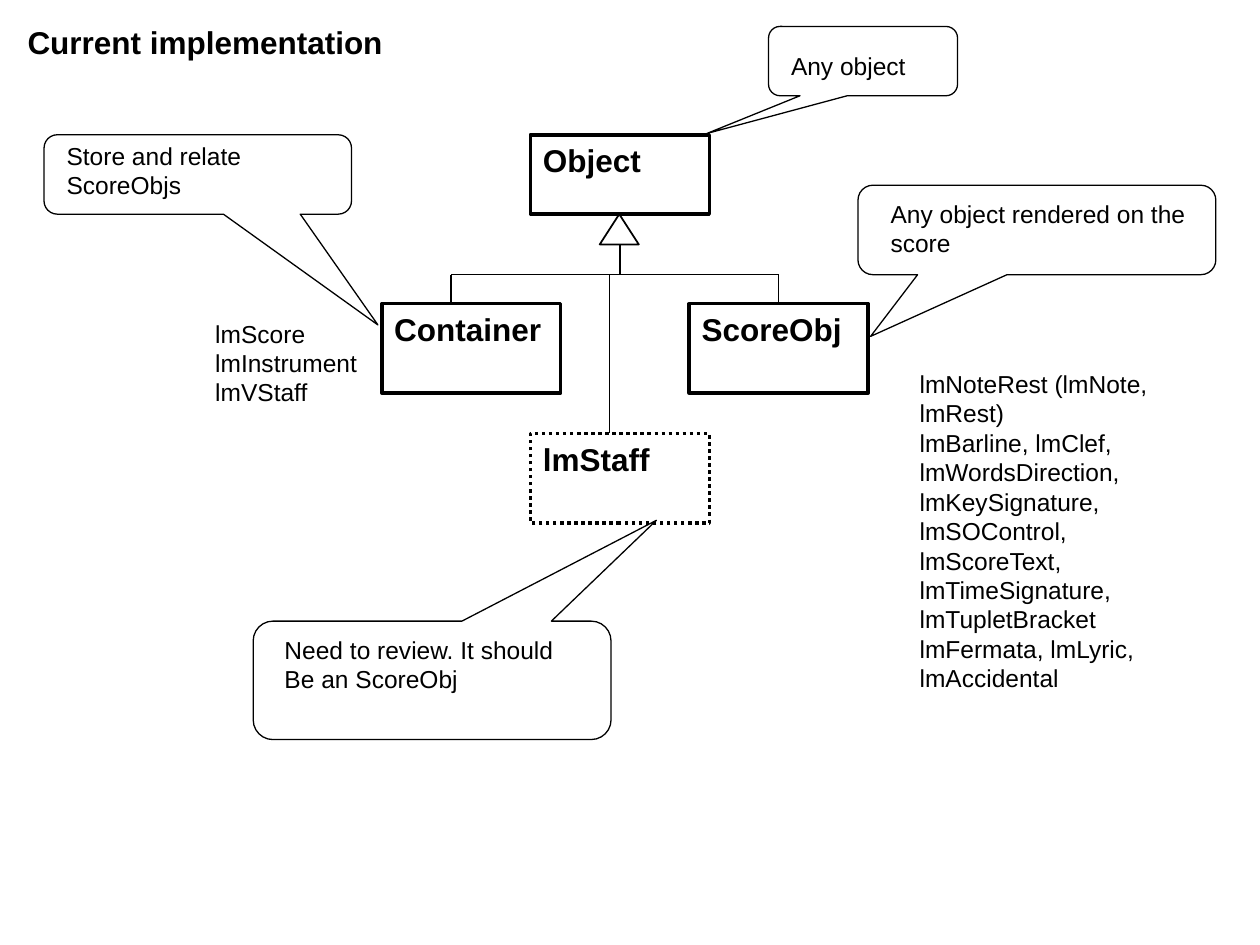
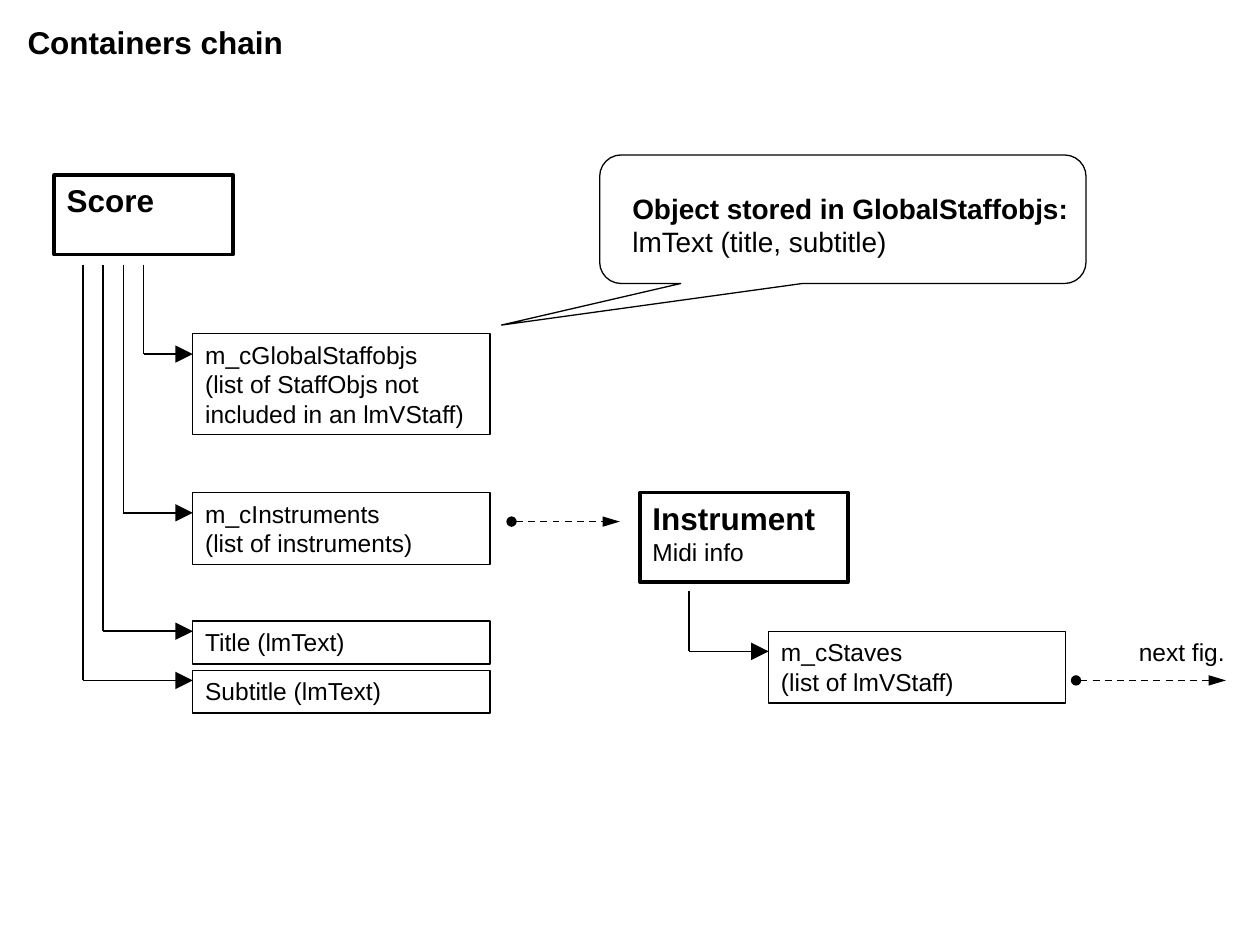
from lxml.etree import SubElement
from pptx import Presentation
from pptx.dml.color import RGBColor
from pptx.enum.dml import MSO_LINE
from pptx.enum.shapes import MSO_CONNECTOR, MSO_SHAPE
from pptx.enum.text import MSO_ANCHOR, PP_ALIGN
from pptx.oxml.ns import qn
from pptx.util import Inches, Pt

FONT = "Arial"
INK = "000000"
THIN, MEDIUM, THICK = 0.75, 1, 2
# Text styles: size in points, bold
HEADING = (18, True)
BODY = (14, False)
LEAD = (16, True)
DETAIL = (16, False)


def color(hex_string):
    return RGBColor.from_string(hex_string)


def inches(values):
    return [Inches(value) for value in values]


class Diagram:
    """Holds the shared style and draws on the current slide."""

    def __init__(self):
        self.deck = Presentation()
        self.deck.slide_width = Inches(10)
        self.deck.slide_height = Inches(7.5)
        self.page = None

    def add_page(self, title):
        self.page = self.deck.slides.add_slide(self.deck.slide_layouts[6])
        self.text((0.12, 0.13, 3.02, 0.4), title, style=HEADING)

    def fill_text(self, box, paragraphs, style, rest, wrap=True):
        """Sets the first paragraph in style and the others in rest."""
        frame = box.text_frame
        frame.text = "\n".join(paragraphs)
        frame.word_wrap = wrap
        frame.vertical_anchor = MSO_ANCHOR.TOP
        for index, para in enumerate(frame.paragraphs):
            para.alignment = PP_ALIGN.LEFT
            size, bold = rest if index else style
            for span in para.runs:
                span.font.name = FONT
                span.font.size = Pt(size)
                span.font.bold = bold
                span.font.color.rgb = color(INK)

    def text(self, at, *paragraphs, style=BODY, rest=BODY, wrap=True):
        box = self.page.shapes.add_textbox(*inches(at))
        self.fill_text(box, paragraphs, style, rest, wrap)

    def stroke(self, item, width, dash=None):
        item.line.color.rgb = color(INK)
        item.line.width = Pt(width)
        if dash:
            item.line.dash_style = dash

    def outline(self, kind, at, width, dash=None):
        shape = self.page.shapes.add_shape(kind, *inches(at))
        shape.shadow.inherit = False
        shape.fill.background()
        self.stroke(shape, width, dash)
        return shape

    def class_box(self, at, *paragraphs, dash=None):
        box = self.outline(MSO_SHAPE.RECTANGLE, at, THICK, dash)
        self.fill_text(box, paragraphs, HEADING, BODY)
        return box

    def member_box(self, at, *paragraphs):
        box = self.outline(MSO_SHAPE.RECTANGLE, at, THIN)
        self.fill_text(box, paragraphs, BODY, BODY)

    def callout(self, at, tip, text_at, *paragraphs, style=BODY, rest=BODY):
        """Draws a rounded callout whose wedge ends at the point tip."""
        left, top, width, height = at
        shape = self.outline(MSO_SHAPE.ROUNDED_RECTANGULAR_CALLOUT, at, THIN)
        shape.adjustments[0] = (tip[0] - left) / width - 0.5
        shape.adjustments[1] = (tip[1] - top) / height - 0.5
        self.text(text_at, *paragraphs, style=style, rest=rest)

    def line(self, start, end, width=THIN, dash=None):
        connector = self.page.shapes.add_connector(
            MSO_CONNECTOR.STRAIGHT, *inches(start + end))
        self.stroke(connector, width, dash)
        SubElement(connector.element.spPr, qn("a:effectLst"))
        return connector

    def line_end(self, connector, tag, kind, width, length):
        SubElement(connector.element.spPr.find(qn("a:ln")), qn(tag),
                   type=kind, w=width, len=length)

    def elbow_arrow(self, start, end):
        """Goes down from start, then right to end."""
        corner = (start[0], end[1])
        self.line(start, corner, MEDIUM)
        arrow = self.line(corner, end, MEDIUM)
        self.line_end(arrow, "a:tailEnd", "triangle", "lg", "lg")

    def reference_arrow(self, start, end):
        arrow = self.line(start, end, MEDIUM, MSO_LINE.DASH)
        self.line_end(arrow, "a:headEnd", "oval", "med", "med")
        self.line_end(arrow, "a:tailEnd", "triangle", "med", "lg")


def draw_implementation(diagram):
    diagram.add_page("Current implementation")

    diagram.class_box((3.03, 2.41, 1.42, 0.71), "Container")
    diagram.class_box((4.21, 1.07, 1.42, 0.63), "Object")
    score_obj = diagram.class_box((5.47, 2.41, 1.42, 0.71), "ScoreObj")
    diagram.class_box((4.21, 3.44, 1.42, 0.71), "lmStaff",
                      dash=MSO_LINE.ROUND_DOT)

    diagram.outline(MSO_SHAPE.ISOSCELES_TRIANGLE,
                    (4.76, 1.7, 0.31, 0.24), MEDIUM)
    branch_y = 2.18
    diagram.line((3.58, branch_y), (6.18, branch_y))
    diagram.line((4.92, 1.94), (4.92, branch_y))
    diagram.line((3.58, branch_y), (3.58, 2.41))
    diagram.line((4.84, branch_y), (4.84, 3.44))
    diagram.line((6.18, branch_y), (6.18, 2.41)).end_connect(score_obj, 0)

    diagram.text((7.2, 2.88, 2.21, 3.14),
                 "lmNoteRest (lmNote, lmRest)",
                 "lmBarline, lmClef, lmWordsDirection, lmKeySignature, "
                 "lmSOControl,",
                 "lmScoreText, lmTimeSignature, lmTupletBracket",
                 "lmFermata, lmLyric, lmAccidental")
    diagram.text((1.61, 2.48, 1.57, 1.04),
                 "lmScore", "lmInstrument", "lmVStaff")

    diagram.callout((6.81, 1.47, 2.84, 0.71), (6.91, 2.67),
                    (6.97, 1.53, 2.84, 0.57),
                    "Any object rendered on the", "score")
    diagram.callout((0.35, 1.07, 2.44, 0.63), (3, 2.58),
                    (0.43, 1.07, 2.31, 0.57), "Store and relate ScoreObjs")
    diagram.callout((6.1, 0.21, 1.5, 0.55), (5.61, 1.06),
                    (6.18, 0.36, 2.86, 0.34), "Any object")
    diagram.callout((2.01, 4.93, 2.84, 0.94), (5.21, 4.13),
                    (2.16, 4.99, 2.84, 0.57),
                    "Need to review. It should", "Be an ScoreObj")


def draw_containers(diagram):
    diagram.add_page("Containers chain")

    diagram.class_box((0.43, 1.39, 1.42, 0.63), "Score")
    diagram.class_box((5.08, 3.91, 1.65, 0.71), "Instrument", "Midi info")

    member_left, member_width = 1.53, 2.36
    # Top, height, y of the arrow, paragraphs
    score_members = [
        (2.65, 0.8, 2.81, ["m_cGlobalStaffobjs",
                           "(list of StaffObjs not included in an lmVStaff)"]),
        (3.91, 0.57, 4.07, ["m_cInstruments", "(list of instruments)"]),
        (4.93, 0.34, 5.01, ["Title (lmText)"]),
        (5.32, 0.34, 5.4, ["Subtitle (lmText)"]),
    ]
    for index, (top, height, arrow_y, lines) in enumerate(score_members):
        diagram.member_box((member_left, top, member_width, height), *lines)
        diagram.elbow_arrow((1.14 - index * 0.16, 2.1),
                            (member_left, arrow_y))

    diagram.member_box((6.1, 5.01, member_width, 0.57),
                       "m_cStaves", "(list of lmVStaff)")
    diagram.elbow_arrow((5.47, 4.69), (6.1, 5.17))

    diagram.reference_arrow((4.06, 4.14), (4.92, 4.14))
    diagram.reference_arrow((8.54, 5.4), (9.73, 5.4))
    diagram.text((8.94, 5.01, 0.88, 0.34), "next fig.", wrap=False)

    diagram.callout((4.76, 1.23, 3.86, 1.02), (3.98, 2.58),
                    (4.92, 1.47, 3.78, 0.64),
                    "Object stored in GlobalStaffobjs:",
                    "lmText (title, subtitle)", style=LEAD, rest=DETAIL)


def main():
    diagram = Diagram()
    draw_implementation(diagram)
    draw_containers(diagram)
    diagram.deck.save("out.pptx")


if __name__ == "__main__":
    main()
